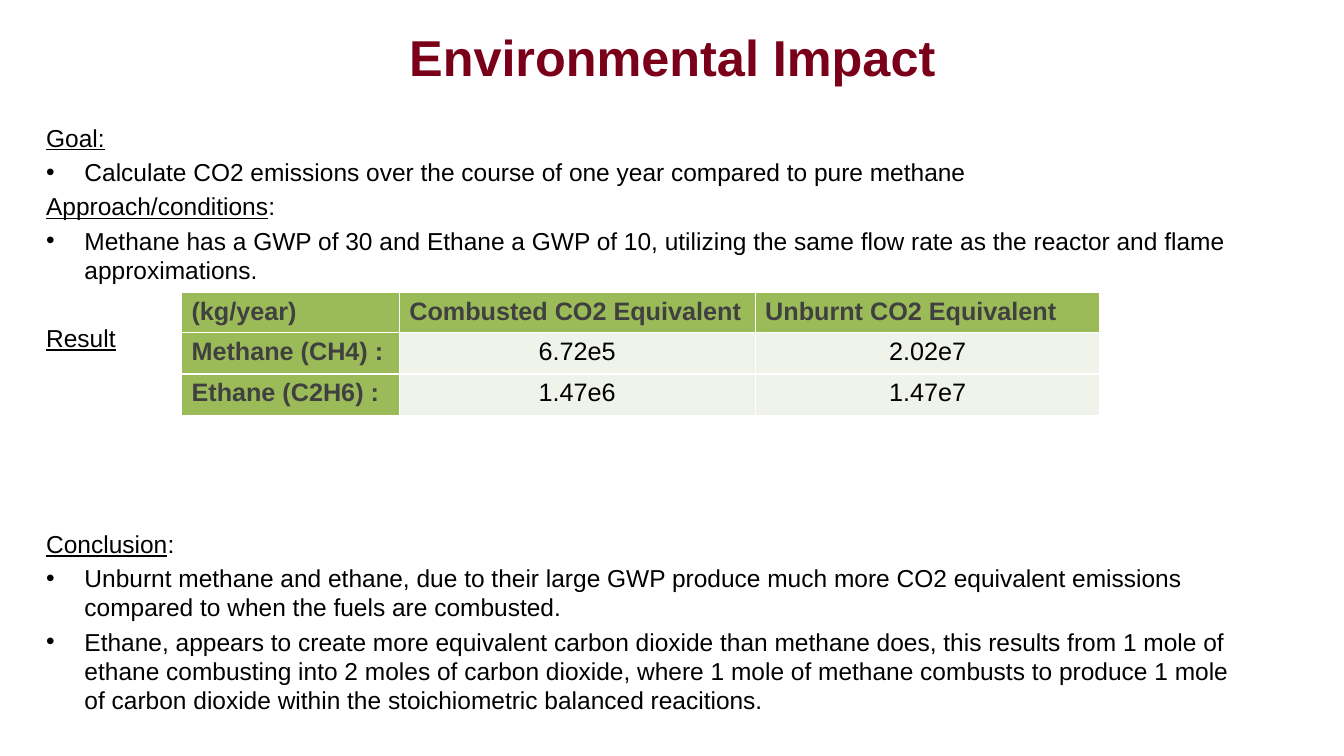
from pptx import Presentation
from pptx.dml.color import RGBColor
from pptx.enum.text import MSO_ANCHOR, PP_ALIGN
from pptx.util import Inches, Pt
from lxml.etree import SubElement
from pptx.oxml.ns import qn


def color(text):
    return RGBColor.from_string(text)


class Deck:
    font = "Arial"
    maroon = "7A0019"
    black = "000000"
    gray = "404040"
    green = "9BBB59"
    pale = "EFF3EA"

    def __init__(self, slide):
        self.slide = slide

    def style(self, para, size, tint, bold=False):
        for run in para.runs:
            run.font.name = self.font
            run.font.size = Pt(size)
            run.font.bold = bold
            run.font.color.rgb = color(tint)

    def box(self, left, top, width, height):
        place = [Inches(n) for n in (left, top, width, height)]
        frame = self.slide.shapes.add_textbox(*place).text_frame
        frame.word_wrap = True
        return frame

    def title(self, text):
        frame = self.box(0.67, 0.2, 12, 0.72)
        frame.vertical_anchor = MSO_ANCHOR.MIDDLE
        frame.text = text
        para = frame.paragraphs[0]
        para.alignment = PP_ALIGN.CENTER
        self.style(para, 36, self.maroon, True)

    def body(self, items):
        frame = self.box(0.36, 1.17, 12, 5.33)
        frame.text = "\n".join(text for text, _, _ in items)
        for para, (_, kind, gap) in zip(frame.paragraphs, items):
            para.space_before = Pt(gap)
            para.line_spacing = Pt(20.8)
            if kind == "bullet":
                self.bullet(para)
            else:
                self.head(para)
            self.style(para, 17.5, self.black)

    def head(self, para):
        run = para.runs[0]
        run.font.underline = True
        if run.text.endswith(":") and run.text != "Goal:":
            run.text = run.text[:-1]
            para.add_run().text = ":"

    def bullet(self, para):
        props = para._p.get_or_add_pPr()
        props.set("marL", str(Inches(0.38)))
        props.set("indent", str(-Inches(0.38)))
        SubElement(props, qn("a:buFont")).set("typeface", self.font)
        SubElement(props, qn("a:buChar")).set("char", "•")

    def table(self, rows, widths, heights):
        place = [Inches(n) for n in (1.8, 2.9, sum(widths), sum(heights))]
        grid = self.slide.shapes.add_table(len(rows), len(widths), *place).table
        for col, width in zip(grid.columns, widths):
            col.width = Inches(width)
        for row, height in zip(grid.rows, heights):
            row.height = Inches(height)
        for r, row in enumerate(rows):
            for c, text in enumerate(row):
                self.cell(grid.cell(r, c), text, r == 0 or c == 0)

    def cell(self, cell, text, head):
        cell.text_frame.text = text
        cell.fill.solid()
        cell.fill.fore_color.rgb = color(self.green if head else self.pale)
        para = cell.text_frame.paragraphs[0]
        para.alignment = PP_ALIGN.LEFT if head else PP_ALIGN.CENTER
        self.style(para, 18, self.gray if head else self.black, head)


def main():
    show = Presentation()
    show.slide_width = Inches(13.33)
    show.slide_height = Inches(7.5)
    deck = Deck(show.slides.add_slide(show.slide_layouts[6]))
    deck.title("Environmental Impact")
    deck.body([
        ("Goal:", "head", 0),
        ("Calculate CO2 emissions over the course of one year compared to "
         "pure methane", "bullet", 3.7),
        ("Approach/conditions:", "head", 3.7),
        ("Methane has a GWP of 30 and Ethane a GWP of 10, utilizing the same "
         "flow rate as the reactor and flame approximations.", "bullet", 3.7),
        ("Result", "head", 27.8),
        ("Conclusion:", "head", 126.3),
        ("Unburnt methane and ethane, due to their large GWP produce much "
         "more CO2 equivalent emissions compared to when the fuels are "
         "combusted.", "bullet", 3.7),
        ("Ethane, appears to create more equivalent carbon dioxide than "
         "methane does, this results from 1 mole of ethane combusting into 2 "
         "moles of carbon dioxide, where 1 mole of methane combusts to "
         "produce 1 mole of carbon dioxide within the stoichiometric balanced "
         "reacitions.", "bullet", 3.7),
    ])
    deck.table([
        ("(kg/year)", "Combusted CO2 Equivalent", "Unburnt CO2 Equivalent"),
        ("Methane (CH4) :", "6.72e5", "2.02e7"),
        ("Ethane (C2H6) :", "1.47e6", "1.47e7"),
    ], (2.16, 3.53, 3.42), (0.39, 0.41, 0.41))
    show.save("out.pptx")


if __name__ == "__main__":
    main()
